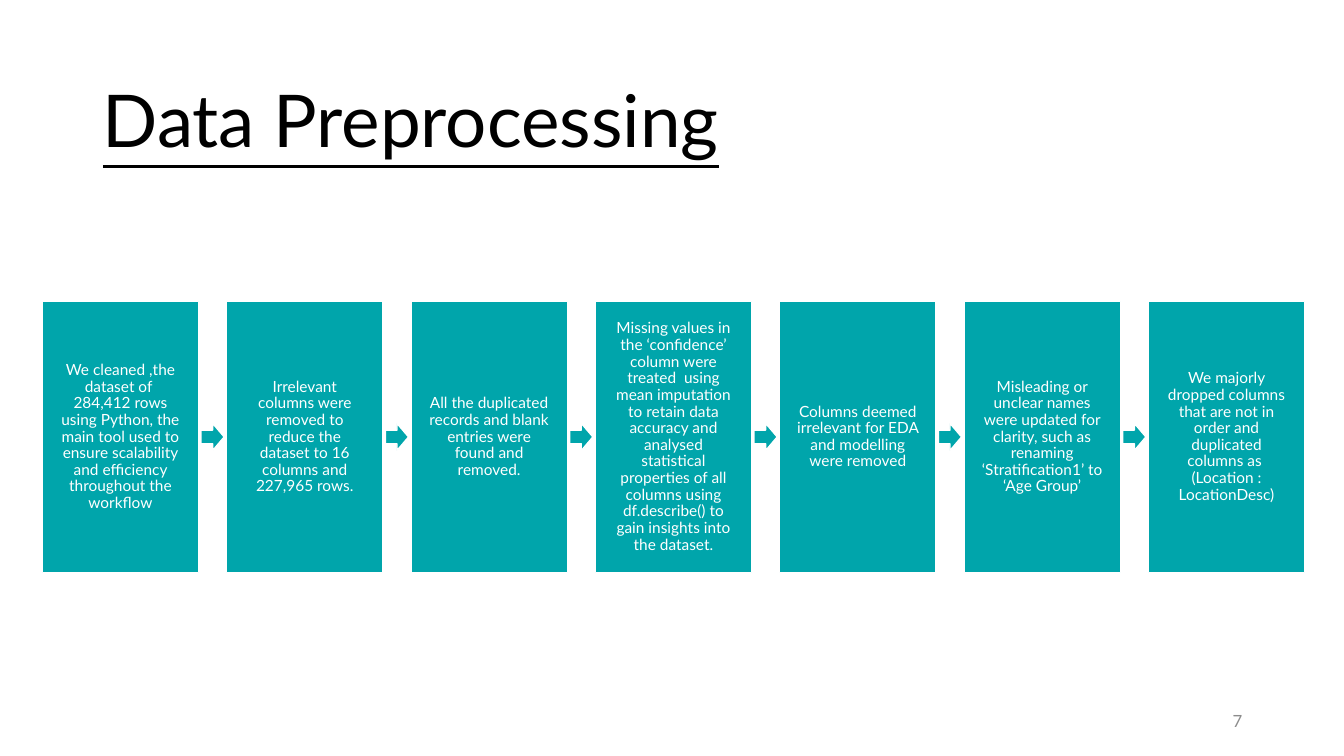
from pptx import Presentation
from pptx.dml.color import RGBColor
from pptx.enum.shapes import MSO_SHAPE as SHAPE
from pptx.enum.text import MSO_ANCHOR as ANCHOR, MSO_AUTO_SIZE as AUTOSIZE, PP_ALIGN as ALIGN
from pptx.util import Inches, Pt

TEAL, WHITE, BLACK, GRAY = "00A5AB", "FFFFFF", "000000", "8C8C8C"

STEPS = [
    "We cleaned ,the dataset of  284,412 rows using Python, the main tool used to "
    "ensure scalability and efficiency throughout the workflow",
    "Irrelevant columns were removed to reduce the dataset to 16 columns and 227,965 rows.",
    "All the duplicated records and blank entries were found and removed.",
    "Missing values in the ‘confidence’ column were treated  using mean imputation to "
    "retain data accuracy and analysed statistical properties of all columns using "
    "df.describe() to gain insights into the dataset.",
    "Columns deemed irrelevant for EDA and modelling were removed",
    "Misleading or unclear names were updated for clarity, such as renaming "
    "‘Stratification1’ to ‘Age Group’",
    "We majorly dropped columns that are not in order and duplicated columns as  "
    "(Location : LocationDesc)",
]


def rgb(color):
    return RGBColor.from_string(color)


def write(sp, text, size, color, align, spacing=1.0, inset=None, underline=None):
    tf = sp.text_frame
    frame = {"word_wrap": True, "auto_size": AUTOSIZE.NONE, "vertical_anchor": ANCHOR.MIDDLE}
    if inset is not None:
        for side in ("left", "top", "right", "bottom"):
            frame[f"margin_{side}"] = Inches(inset)
    for name, value in frame.items():
        setattr(tf, name, value)
    p = tf.paragraphs[0]
    p.alignment, p.line_spacing = align, spacing
    r = p.add_run()
    r.text = text
    for name, value in {"name": "Lato", "size": Pt(size), "underline": underline}.items():
        setattr(r.font, name, value)
    r.font.color.rgb = rgb(color)


def add_block(s, kind, left, top, width, height):
    sp = s.shapes.add_shape(kind, Inches(left), Inches(top), Inches(width), Inches(height))
    sp.shadow.inherit = False
    sp.fill.solid()
    sp.fill.fore_color.rgb = rgb(TEAL)
    sp.line.color.rgb = rgb(WHITE)
    sp.line.width = Pt(1)
    return sp


def add_title(s, left, top, width, height):
    title = s.shapes.title
    box = {"left": left, "top": top, "width": width, "height": height}
    for name, value in box.items():
        setattr(title, name, Inches(value))
    write(title, "Data Preprocessing", 52, BLACK, ALIGN.LEFT, 0.9, underline=True)


def add_process(s, left, top, width, height):
    card_w, arrow_w, arrow_h = 1.55, 0.23, 0.27
    pitch = (width - card_w) / (len(STEPS) - 1)
    for i, step in enumerate(STEPS):
        x = left + i * pitch
        card = add_block(s, SHAPE.RECTANGLE, x, top, card_w, height)
        write(card, step, 11, WHITE, ALIGN.CENTER, 0.9, inset=0.17)
        if i < len(STEPS) - 1:
            arrow_x = x + card_w + (pitch - card_w - arrow_w) / 2
            arrow_y = top + (height - arrow_h) / 2
            add_block(s, SHAPE.RIGHT_ARROW, arrow_x, arrow_y, arrow_w, arrow_h)


def add_page_number(s, left, top, width, height):
    sp = s.shapes.add_textbox(Inches(left), Inches(top), Inches(width), Inches(height))
    write(sp, "7", 12, GRAY, ALIGN.RIGHT)
    sp.text_frame.paragraphs[0].space_after = Pt(6)


def main():
    prs = Presentation()
    prs.slide_width, prs.slide_height = Inches(13.33), Inches(7.5)
    s = prs.slides.add_slide(prs.slide_layouts[5])
    add_title(s, 0.92, 0.61, 11.5, 1.24)
    add_page_number(s, 9.42, 6.95, 3, 0.4)
    add_process(s, 0.42, 2.99, 12.52, 2.69)
    prs.save("out.pptx")


if __name__ == "__main__":
    main()
